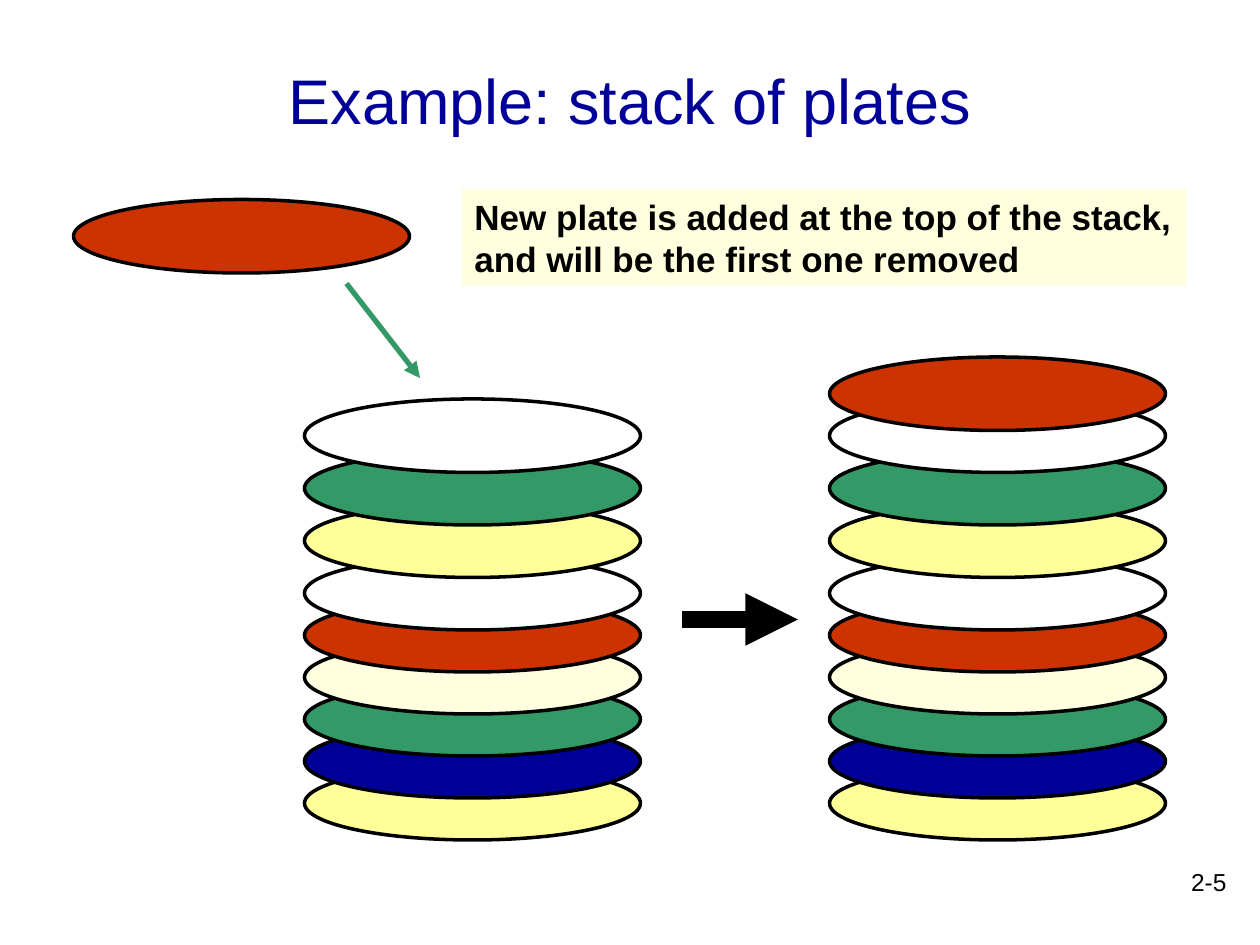
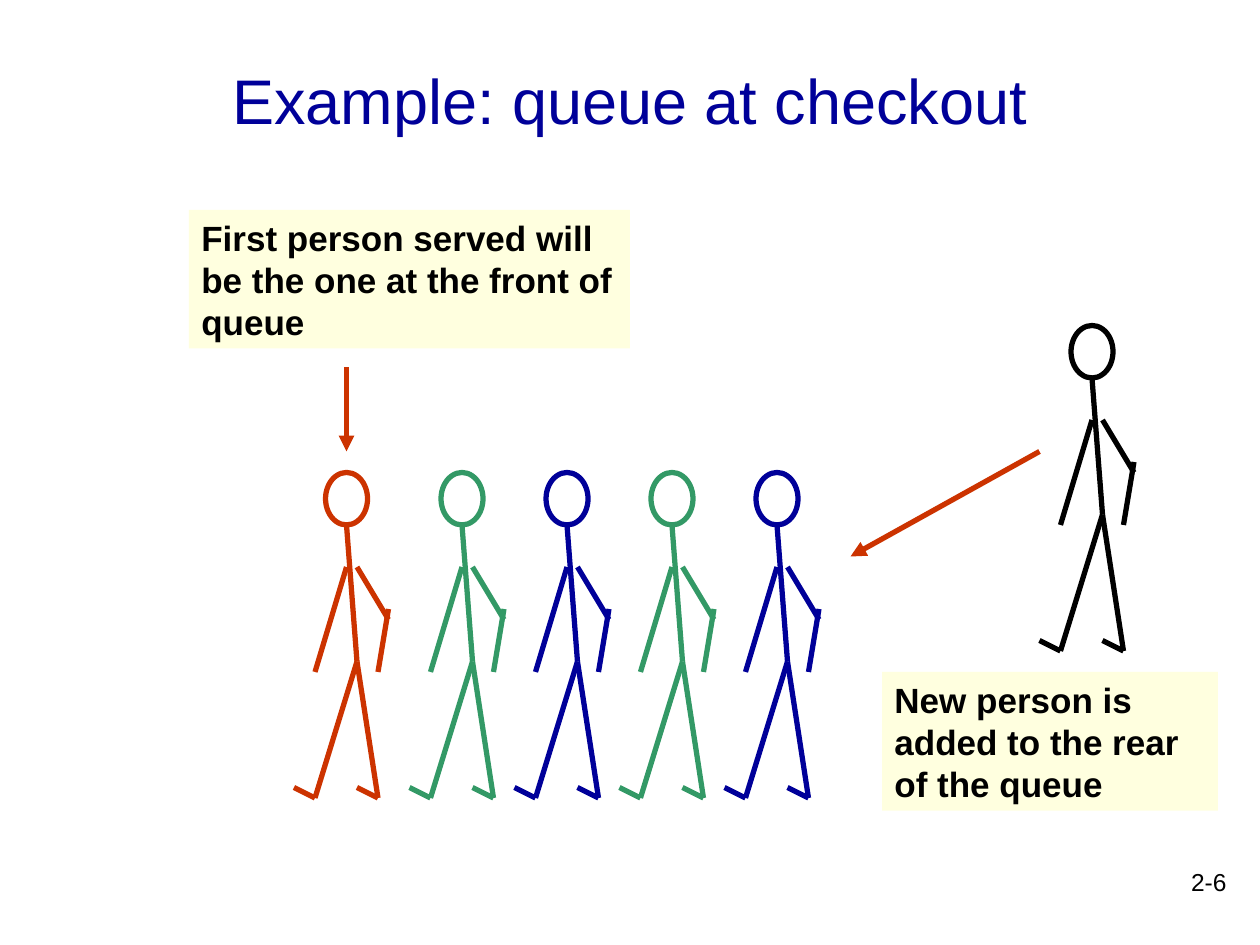
from lxml import etree
from pptx import Presentation
from pptx.dml.color import RGBColor
from pptx.enum.shapes import MSO_CONNECTOR, MSO_SHAPE
from pptx.enum.text import MSO_ANCHOR, PP_ALIGN
from pptx.oxml.ns import qn
from pptx.util import Inches, Pt

RED, GREEN, BLUE = "CC3300", "339966", "000099"
YELLOW, CREAM, WHITE, BLACK = "FFFF99", "FFFFDF", "FFFFFF", "000000"

prs = Presentation()
prs.slide_width, prs.slide_height = Inches(10), Inches(7.5)
UNIT = prs.slide_width / 120
rgb = RGBColor.from_string


def add_ellipse(slide, col, row, cols, rows, fill, colour, width):
    sp = slide.shapes.add_shape(
        MSO_SHAPE.OVAL, *[round(n * UNIT) for n in (col, row, cols, rows)])
    sp.shadow.inherit = False
    if fill:
        sp.fill.solid()
        sp.fill.fore_color.rgb = rgb(fill)
    else:
        sp.fill.background()
    sp.line.color.rgb = rgb(colour)
    sp.line.width = Pt(width)


def add_line(slide, start, end, colour, width=3, arrow=False):
    ends = [round(n * UNIT) for n in (*start, *end)]
    cx = slide.shapes.add_connector(MSO_CONNECTOR.STRAIGHT, *ends)
    cx.line.color.rgb = rgb(colour)
    cx.line.width = Pt(width)
    if arrow:
        ln = cx.line._get_or_add_ln()
        etree.SubElement(ln, qn("a:tailEnd"), type="triangle")
    etree.SubElement(cx._element.spPr, qn("a:effectLst"))


plates, queue = [prs.slides.add_slide(prs.slide_layouts[6]) for _ in range(2)]

title = dict(at=(9, 2, 102, 15), size=36, colour=BLUE,
             align=PP_ALIGN.CENTER, anchor=MSO_ANCHOR.MIDDLE)
number = dict(at=(93, 82, 25, 6), size=14, align=PP_ALIGN.RIGHT)
note = dict(size=20, bold=True, fill=CREAM)
texts = [
    (plates, "Example: stack of plates", title),
    (plates, "2-5", number),
    (plates, "New plate is added at the top of the stack, and will be the first one removed",
     dict(note, at=(44, 18, 69, 9.24))),
    (queue, "Example: queue at checkout", title),
    (queue, "2-6", number),
    (queue, "First person served will be the one at the front of queue",
     dict(note, at=(18, 20, 42, 13.2))),
    (queue, "New person is added to the rear of the queue",
     dict(note, at=(84, 64, 32, 13.2))),
]
for slide, text, style in texts:
    sp = slide.shapes.add_textbox(*[round(n * UNIT) for n in style["at"]])
    if "fill" in style:
        sp.fill.solid()
        sp.fill.fore_color.rgb = rgb(style["fill"])
    tf = sp.text_frame
    tf.word_wrap = True
    tf.vertical_anchor = style.get("anchor", MSO_ANCHOR.TOP)
    p = tf.paragraphs[0]
    p.text = text
    p.alignment = style.get("align", PP_ALIGN.LEFT)
    p.font.name = "Arial"
    p.font.size = Pt(style["size"])
    p.font.bold = style.get("bold", False)
    p.font.color.rgb = rgb(style.get("colour", BLACK))

stack = [(73, YELLOW), (69, BLUE), (65, GREEN), (61, CREAM), (57, RED),
         (53, WHITE), (48, YELLOW), (43, GREEN), (38, WHITE)]
new_plate = (34, RED)
for col, pile in ((29, stack), (79, stack + [new_plate]), (7, [(19, RED)])):
    for row, fill in pile:
        add_ellipse(plates, col, row, 32, 7, fill, BLACK, 2)
add_line(plates, (33, 27), (40, 36), GREEN, arrow=True)
add_line(plates, (65, 59), (76, 59), BLACK, 10, arrow=True)

limbs = [((0, 5), (1, 18)), ((1, 18), (-3, 31)), ((1, 18), (3, 31)),
         ((-3, 31), (-5, 30)), ((3, 31), (1, 30)), ((0, 9), (-3, 19)),
         ((1, 9), (4, 14)), ((4, 13), (3, 19))]
people = [(33, 45, RED), (44, 45, GREEN), (54, 45, BLUE), (64, 45, GREEN),
          (74, 45, BLUE), (104, 31, BLACK)]
for x, y, colour in people:
    add_ellipse(queue, x - 2, y, 4, 5, None, colour, 3)
    for (x1, y1), (x2, y2) in limbs:
        add_line(queue, (x + x1, y + y1), (x + x2, y + y2), colour)
add_line(queue, (33, 35), (33, 43), RED, arrow=True)
add_line(queue, (99, 43), (81, 53), RED, arrow=True)

prs.save("out.pptx")
